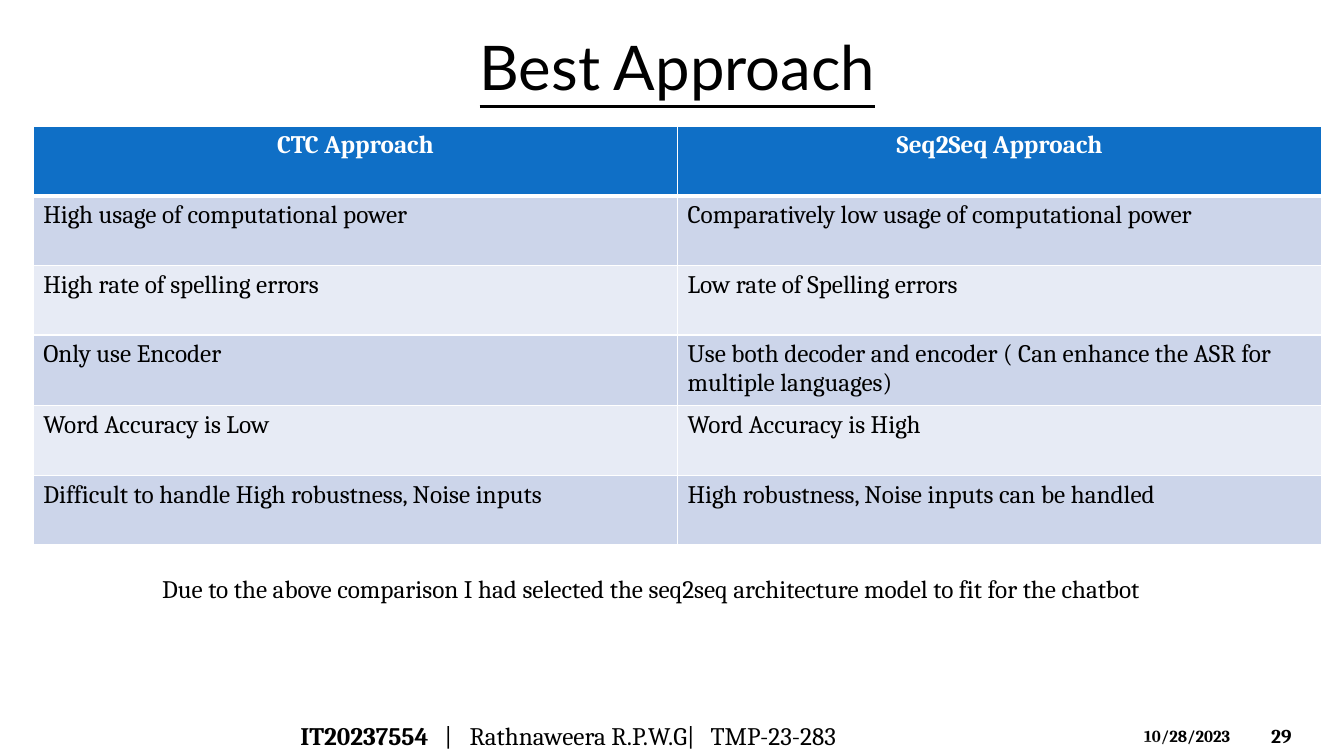
from dataclasses import dataclass

from lxml import etree
from pptx import Presentation
from pptx.dml.color import RGBColor
from pptx.enum.shapes import MSO_SHAPE
from pptx.enum.text import MSO_ANCHOR, PP_ALIGN
from pptx.oxml.ns import qn
from pptx.util import Pt

PX = 9144
BLACK = RGBColor(0x00, 0x00, 0x00)
WHITE = RGBColor(0xFF, 0xFF, 0xFF)
HEADER_BLUE = RGBColor(0x0F, 0x6F, 0xC6)
BAND_DARK = RGBColor(0xCC, 0xD5, 0xEA)
BAND_LIGHT = RGBColor(0xE7, 0xEB, 0xF5)
TRIANGLE = MSO_SHAPE.ISOSCELES_TRIANGLE
LEFT, CENTER = PP_ALIGN.LEFT, PP_ALIGN.CENTER
TOP, MIDDLE = MSO_ANCHOR.TOP, MSO_ANCHOR.MIDDLE

BODY = {"name": "Cambria", "size": Pt(18), "bold": False}
STRONG = BODY | {"bold": True}
TITLE = {"name": "Lato", "size": Pt(44), "underline": True}

TABLE_BOX = (33, 125, 1278, 415)
ROWS = [
    ("CTC Approach", "Seq2Seq Approach"),
    ("High usage of computational power", "Comparatively low usage of computational power"),
    ("High rate of spelling errors", "Low rate of Spelling errors"),
    ("Only use Encoder",
     "Use both decoder and encoder ( Can enhance the ASR for multiple languages)"),
    ("Word Accuracy is Low", "Word Accuracy is High"),
    ("Difficult to handle High robustness, Noise inputs",
     "High robustness, Noise inputs can be handled"),
]


@dataclass(frozen=True)
class Label:
    box: tuple[int, int, int, int]
    runs: tuple[tuple[str, dict], ...]
    align: PP_ALIGN = LEFT
    anchor: MSO_ANCHOR = TOP
    tabs: tuple[int, ...] = ()


@dataclass(frozen=True)
class Peak:
    box: tuple[int, int, int, int]
    apex: float


FOOTER_LABELS = [
    Label((1251, 710, 74, 40), (("29", STRONG | {"size": Pt(14)}),), anchor=MIDDLE),
    Label((1125, 715, 117, 30), (("10/28/2023", STRONG | {"size": Pt(12)}),)),
]
PEAKS = [Peak((0, 709, 1333, 41), 0.63), Peak((0, 730, 1333, 20), 0.39)]
LABELS = [
    Label((33, 18, 1278, 95), (("Best Approach", TITLE),), CENTER, MIDDLE),
    Label((288, 710, 745, 40),
          (("IT20237554", STRONG), ("\t|\tRathnaweera R.P.W.G|\tTMP-23-283", BODY)),
          anchor=MIDDLE, tabs=(143, 168, 407)),
    Label((151, 564, 1042, 40),
          (("Due to the above comparison I had selected the seq2seq architecture "
            "model to fit for the chatbot", BODY),)),
]


def add_run(p, text: str, style: dict, color: RGBColor = BLACK) -> None:
    r = p.add_run()
    r.text = text
    for name, value in style.items():
        setattr(r.font, name, value)
    r.font.color.rgb = color


def add_label(slide, label: Label) -> None:
    sp = slide.shapes.add_textbox(*(v * PX for v in label.box))
    tf = sp.text_frame
    tf.word_wrap = True
    tf.vertical_anchor = label.anchor
    p = tf.paragraphs[0]
    p.alignment = label.align
    if label.tabs:
        tab_list = etree.SubElement(p._p.get_or_add_pPr(), qn("a:tabLst"))
        for pos in label.tabs:
            etree.SubElement(tab_list, qn("a:tab"), pos=str(pos * PX), algn="l")
    for text, style in label.runs:
        add_run(p, text, style)


def add_peak(slide, peak: Peak) -> None:
    sp = slide.shapes.add_shape(TRIANGLE, *(v * PX for v in peak.box))
    sp.adjustments[0] = peak.apex
    sp.shadow.inherit = False
    sp.line.fill.background()
    sp.fill.solid()
    sp.fill.fore_color.rgb = WHITE
    color = sp._element.spPr.find(qn("a:solidFill")).find(qn("a:srgbClr"))
    etree.SubElement(color, qn("a:alpha"), val="20000")


def add_borders(cell, row: int) -> None:
    widths = {"L": 1, "R": 1, "T": 3 if row == 1 else 1, "B": 3 if row == 0 else 1}
    tc_pr = cell._tc.get_or_add_tcPr()
    for side, width in widths.items():
        ln = etree.SubElement(tc_pr, qn(f"a:ln{side}"), w=str(Pt(width)))
        fill = etree.SubElement(ln, qn("a:solidFill"))
        etree.SubElement(fill, qn("a:srgbClr"), val=str(WHITE))


def add_comparison(slide) -> None:
    left, top, width, height = (v * PX for v in TABLE_BOX)
    table = slide.shapes.add_table(len(ROWS), 2, left, top, width, height).table
    for i, texts in enumerate(ROWS):
        header = i == 0
        band = HEADER_BLUE if header else BAND_DARK if i % 2 else BAND_LIGHT
        for j, text in enumerate(texts):
            cell = table.cell(i, j)
            add_borders(cell, i)
            cell.fill.solid()
            cell.fill.fore_color.rgb = band
            p = cell.text_frame.paragraphs[0]
            p.alignment = CENTER if header else LEFT
            add_run(p, text, STRONG if header else BODY, WHITE if header else BLACK)


def main() -> None:
    prs = Presentation()
    prs.slide_width, prs.slide_height = 1333 * PX, 750 * PX
    slide = prs.slides.add_slide(prs.slide_layouts[6])
    for label in FOOTER_LABELS:
        add_label(slide, label)
    for peak in PEAKS:
        add_peak(slide, peak)
    add_comparison(slide)
    for label in LABELS:
        add_label(slide, label)
    prs.save("out.pptx")


if __name__ == "__main__":
    main()
